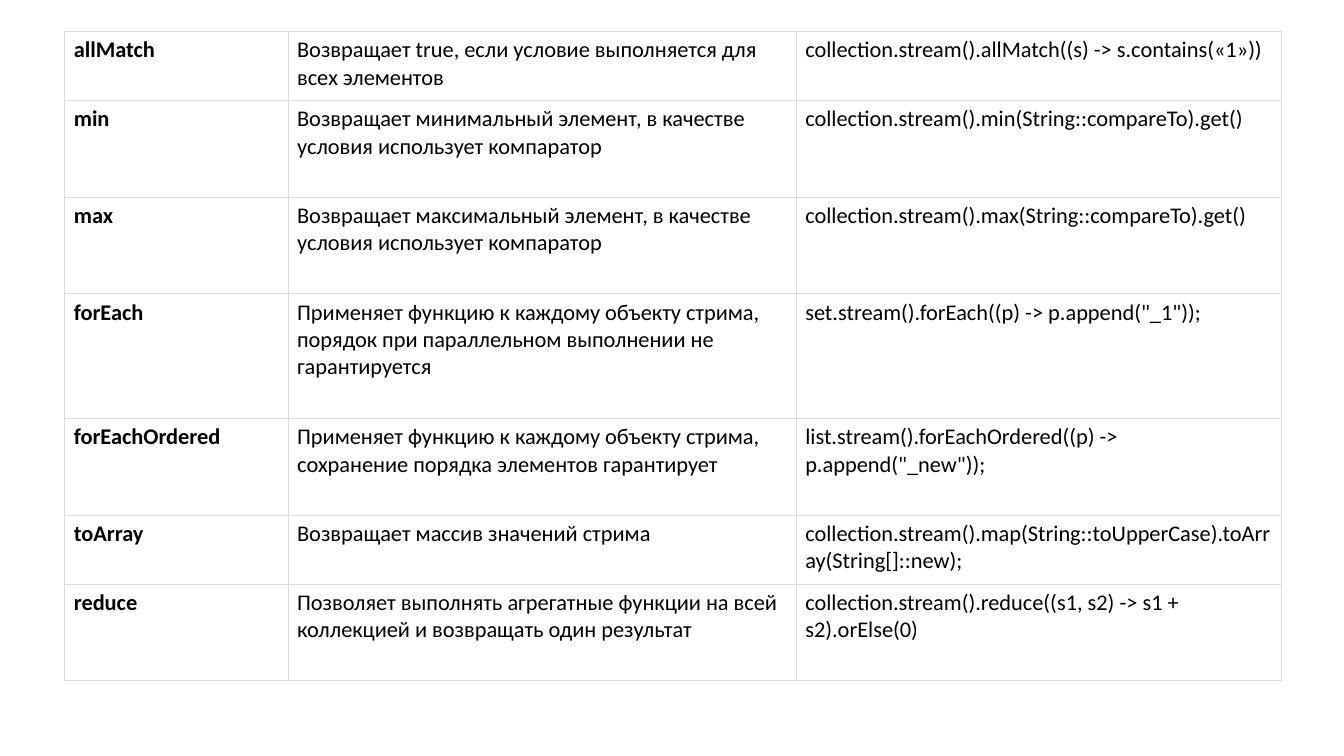
"""Build a slide with a table of terminal stream operations."""
from lxml import etree
from pptx import Presentation
from pptx import util as u
from pptx.dml.color import RGBColor
from pptx.oxml import ns

OPERATIONS = [
    ("allMatch", "Возвращает true, если условие выполняется для всех элементов",
     "collection.stream().allMatch((s) -> s.contains(«1»))"),
    ("min", "Возвращает минимальный элемент, в качестве условия использует компаратор",
     "collection.stream().min(String::compareTo).get()"),
    ("max", "Возвращает максимальный элемент, в качестве условия использует компаратор",
     "collection.stream().max(String::compareTo).get()"),
    ("forEach", "Применяет функцию к каждому объекту стрима, порядок при параллельном "
     "выполнении не гарантируется",
     'set.stream().forEach((p) -> p.append("_1"));'),
    ("forEachOrdered", "Применяет функцию к каждому объекту стрима, сохранение порядка "
     "элементов гарантирует",
     'list.stream().forEachOrdered((p) -> p.append("_new"));'),
    ("toArray", "Возвращает массив значений стрима",
     "collection.stream().map(String::toUpperCase).toArray(String[]::new);"),
    ("reduce", "Позволяет выполнять агрегатные функции на всей коллекцией и возвращать "
     "один результат",
     "collection.stream().reduce((s1, s2) -> s1 + s2).orElse(0)"),
]
COLUMN_WIDTHS = (159.5, 363, 346.5)
SHORT, MEDIUM, TALL = 49.25, 69, 89.25
ROW_HEIGHTS = (SHORT, MEDIUM, MEDIUM, TALL, MEDIUM, SHORT, MEDIUM)
LEFT, TOP = 46.25, 22.5
FONT, FONT_SIZE = "Calibri", 16
BLACK = RGBColor(0x00, 0x00, 0x00)
BORDER = RGBColor(0xD5, 0xDD, 0xDF)
BORDER_WIDTH = 0.6


def add_borders(cell):
    properties = cell._tc.get_or_add_tcPr()
    for side in ("a:lnL", "a:lnR", "a:lnT", "a:lnB"):
        line = etree.SubElement(properties, ns.qn(side), w=str(u.Pt(BORDER_WIDTH)))
        fill = etree.SubElement(line, ns.qn("a:solidFill"))
        etree.SubElement(fill, ns.qn("a:srgbClr"), val=str(BORDER))


def fill_cell(cell, content, bold):
    cell.margin_left = cell.margin_right = u.Pt(6.5)
    cell.margin_top, cell.margin_bottom = u.Pt(3.6), u.Pt(5)
    add_borders(cell)
    cell.fill.background()
    cell.text_frame.text = content
    font = cell.text_frame.paragraphs[0].runs[0].font
    font.name, font.size, font.bold = FONT, u.Pt(FONT_SIZE), bold
    font.color.rgb = BLACK


def main():
    presentation = Presentation()
    presentation.slide_width, presentation.slide_height = u.Pt(960), u.Pt(540)
    slide = presentation.slides.add_slide(presentation.slide_layouts[6])
    table = slide.shapes.add_table(
        len(OPERATIONS), len(COLUMN_WIDTHS), u.Pt(LEFT), u.Pt(TOP),
        u.Pt(sum(COLUMN_WIDTHS)), u.Pt(sum(ROW_HEIGHTS))).table
    table.first_row = table.horz_banding = False
    for column, width in zip(table.columns, COLUMN_WIDTHS):
        column.width = u.Pt(width)
    for row, height, operation in zip(table.rows, ROW_HEIGHTS, OPERATIONS):
        row.height = u.Pt(height)
        for index, content in enumerate(operation):
            fill_cell(row.cells[index], content, bold=index == 0)
    presentation.save("out.pptx")


if __name__ == "__main__":
    main()
